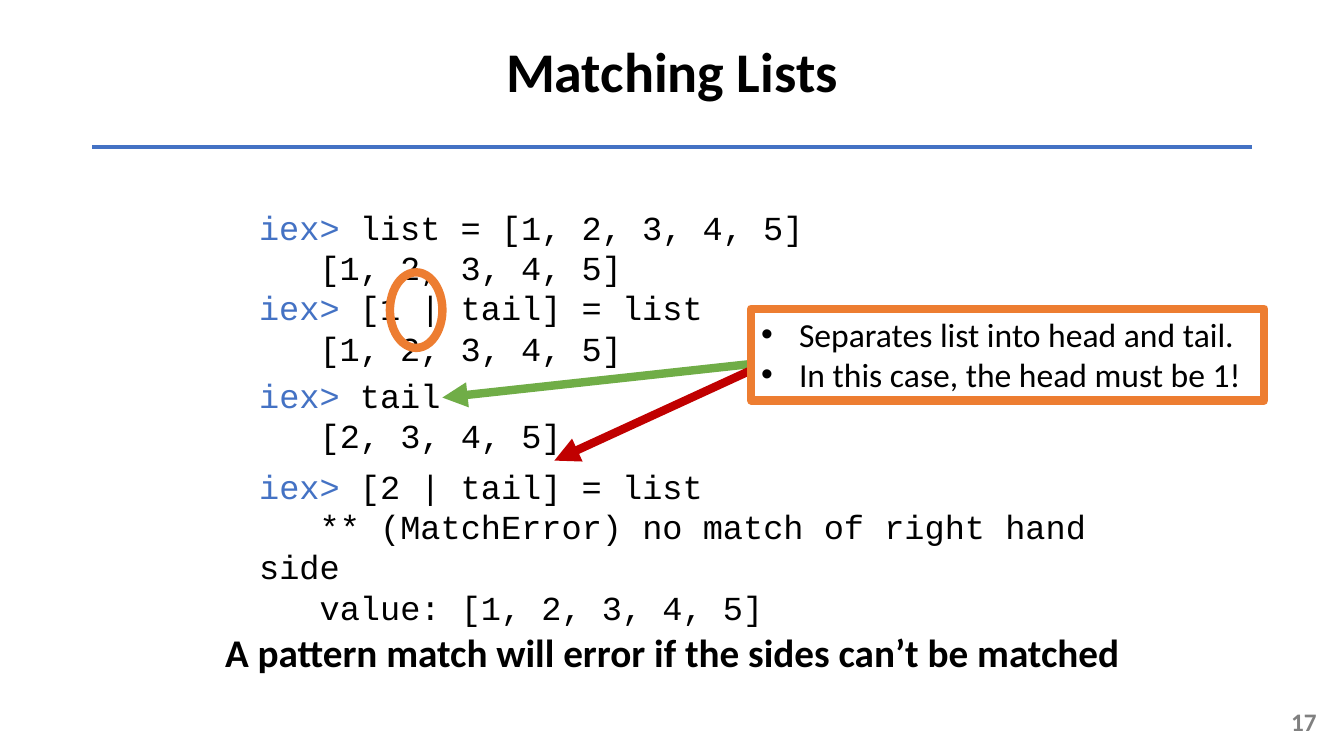
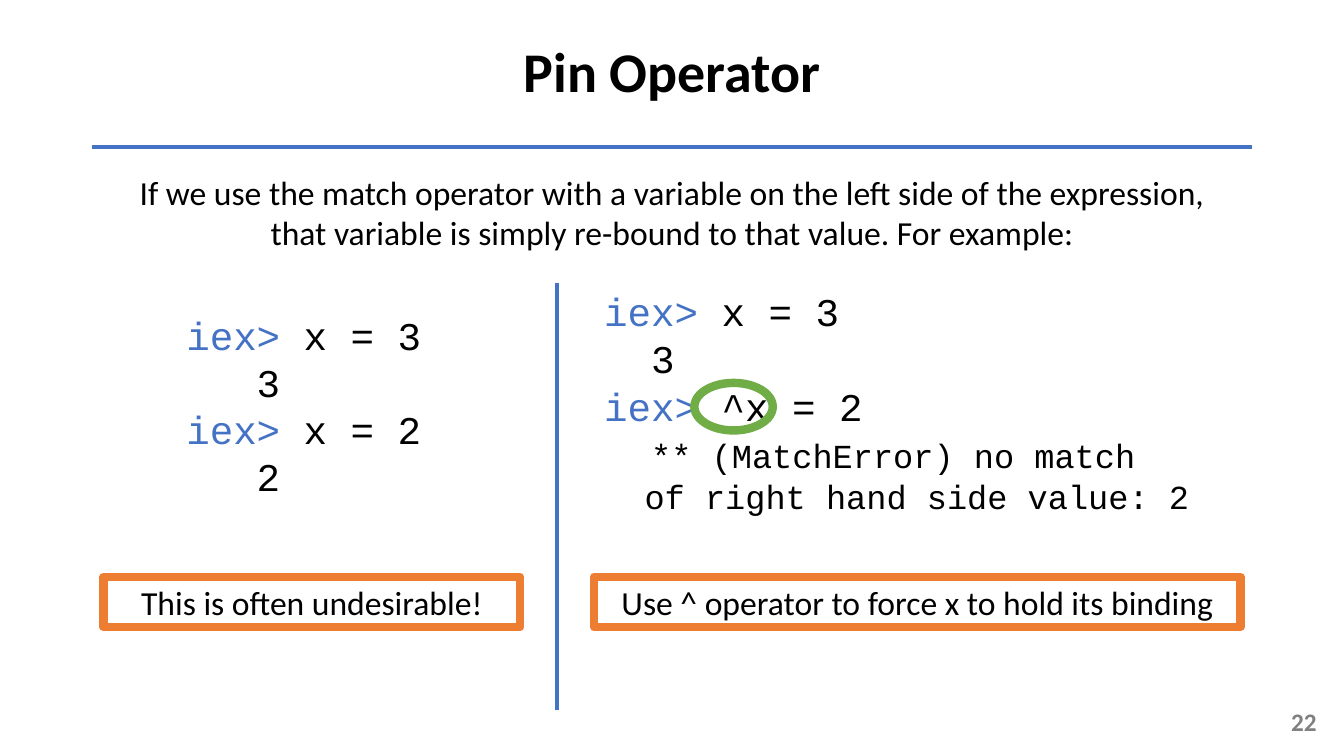
from dataclasses import dataclass
from typing import NamedTuple

from lxml.etree import SubElement
from pptx import Presentation
from pptx.dml.color import RGBColor
from pptx.enum.shapes import MSO_CONNECTOR, MSO_SHAPE
from pptx.enum.text import MSO_ANCHOR, MSO_AUTO_SIZE, PP_ALIGN
from pptx.oxml.ns import qn
from pptx.util import Pt


@dataclass(frozen=True)
class Theme:
    """Colours, fonts, type sizes and line widths of the deck."""
    ink: str = "000000"
    accent: str = "4472C4"
    orange: str = "ED7D31"
    green: str = "70AD47"
    red: str = "C00000"
    grey: str = "808080"
    text_font: str = "Calibri"
    code_font: str = "Courier New"
    title: int = 40
    large: int = 28
    body: int = 24
    number: int = 18
    thin: int = 3
    thick: int = 6


class Box(NamedTuple):
    """A rectangle in points."""
    left: float
    top: float
    width: float
    height: float

    def inside(self, left, top, width, height):
        """Return a box placed relative to this one."""
        return Box(self.left + left, self.top + top, width, height)

    def lengths(self):
        """Return the four lengths as Pt values."""
        return [Pt(value) for value in self]


THEME = Theme()
SLIDE = Box(0, 0, 960, 540)
TITLE_ONLY, TITLE_AND_BODY = 5, 1
PROMPT = "iex>"


def style_font(font, size, color=THEME.ink, name=THEME.text_font, bold=False):
    """Set the look of a run or paragraph font."""
    font.name, font.size, font.bold = name, Pt(size), bold
    font.color.rgb = RGBColor.from_string(color)


def style_line(line, color, width):
    """Set the colour and width of an outline or connector."""
    line.color.rgb = RGBColor.from_string(color)
    line.width = Pt(width)


def place(shape, box):
    """Move a placeholder to a box."""
    shape.left, shape.top, shape.width, shape.height = box.lengths()


def add_line(page, start, end, color, width, arrow=False):
    """Draw a straight line, with an arrowhead at its end if asked."""
    points = [Pt(value) for value in (*start, *end)]
    line = page.shapes.add_connector(MSO_CONNECTOR.STRAIGHT, *points)
    style_line(line.line, color, width)
    if arrow:
        SubElement(line.line._get_or_add_ln(), qn("a:tailEnd"), type="triangle")
    SubElement(line._element.spPr, qn("a:effectLst"))


def add_outline(page, preset, box, color):
    """Draw an unfilled shape with a thick outline."""
    shape = page.shapes.add_shape(preset, *box.lengths())
    shape.shadow.inherit = False
    shape.fill.background()
    style_line(shape.line, color, THEME.thick)
    return shape


def add_frame(page, box):
    """Add an empty wrapping text box and return its text frame."""
    frame = page.shapes.add_textbox(*box.lengths()).text_frame
    frame.word_wrap = True
    return frame


def add_text(page, box, text, size, align=PP_ALIGN.CENTER, **look):
    """Add a one-paragraph text box."""
    frame = add_frame(page, box)
    para = frame.paragraphs[0]
    para.text, para.alignment = text, align
    style_font(para.runs[0].font, size, **look)
    return frame


def add_code(page, box, lines, size):
    """Write (head, tail) code lines; the tail of an output line is body size."""
    frame = add_frame(page, box)
    for index, (head, tail) in enumerate(lines):
        para = frame.add_paragraph() if index else frame.paragraphs[0]
        prompt = head == PROMPT
        looks = ((head, size, THEME.accent if prompt else THEME.ink),
                 (tail, size if prompt else THEME.body, THEME.ink))
        for text, points, color in looks:
            if text:
                span = para.add_run()
                span.text = text
                style_font(span.font, points, color, THEME.code_font)


def add_note(page, box, text):
    """Add a framed one-line remark."""
    frame = add_outline(page, MSO_SHAPE.RECTANGLE, box, THEME.orange).text_frame
    frame.word_wrap = True
    para = frame.paragraphs[0]
    para.text, para.alignment = text, PP_ALIGN.CENTER
    style_font(para.runs[0].font, THEME.body)


def add_bullets(page, box, items):
    """Turn the body placeholder into a framed bullet list in front."""
    body = page.placeholders[1]
    place(body, box)
    style_line(body.line, THEME.orange, THEME.thick)
    frame = body.text_frame
    frame.text = "\n".join(items)
    frame.auto_size = MSO_AUTO_SIZE.NONE
    for para in frame.paragraphs:
        properties = para._p.get_or_add_pPr()
        properties.set("marL", str(Pt(27)))
        properties.set("indent", str(-Pt(27)))
        para.space_before = Pt(0)
        SubElement(properties, qn("a:buFont"), typeface="Arial")
        SubElement(properties, qn("a:buChar"), char="•")
        style_font(para.runs[0].font, THEME.body)
    page.shapes._spTree.append(body._element)


def add_page(deck, layout, title, number):
    """Start a slide with its title, rule and page number."""
    page = deck.slides.add_slide(deck.slide_layouts[layout])
    heading = page.shapes.title
    place(heading, SLIDE.inside(66, 1, 828, 104))
    heading.text_frame.text = title
    heading.text_frame.vertical_anchor = MSO_ANCHOR.MIDDLE
    para = heading.text_frame.paragraphs[0]
    para.alignment, para.line_spacing = PP_ALIGN.CENTER, 0.9
    style_font(para.runs[0].font, THEME.title, bold=True)
    add_line(page, (66, 105), (894, 105), THEME.accent, THEME.thin)
    footer = add_text(page, SLIDE.inside(731.5, 500.5, 216, 29), str(number),
                      THEME.number, PP_ALIGN.RIGHT, color=THEME.grey, bold=True)
    footer.vertical_anchor = MSO_ANCHOR.MIDDLE
    return page


def add_session(page, box):
    """Place the list-matching session with its marks and remarks."""
    blocks = (
        (0, 656, 153, [(PROMPT, " list = [1, 2, 3, 4, 5]"), ("   [1, 2, 3, 4, 5]", ""),
                       (PROMPT, " [1 | tail] = list"), ("   [1, 2, 3, 4, 5]", "")]),
        (120, 636, 65, [(PROMPT, " tail"), ("   [2, 3, 4, 5]", "")]),
        (185, 671, 94, [(PROMPT, " [2 | tail] = list"),
                        ("   ** (MatchError) no match of right hand side", ""),
                        ("   value: [1, 2, 3, 4, 5]", "")]),
    )
    for top, width, height, lines in blocks:
        add_code(page, box.inside(0, top, width, height), lines, THEME.body)
    add_outline(page, MSO_SHAPE.OVAL, box.inside(100.5, 50.5, 37.5, 54), THEME.orange)
    callout = box.inside(358.5, 76.5, 366.5, 65.5)
    arrows = ((39.5, (138, 140), THEME.green), (44, (218, 185), THEME.red))
    for drop, (across, down), color in arrows:
        add_line(page, (callout.left, callout.top + drop),
                 (box.left + across, box.top + down), color, THEME.thick, arrow=True)
    add_bullets(page, callout, ["Separates list into head and tail.",
                                "In this case, the head must be 1!"])


def add_column(page, box, code_box, lines, note):
    """Place a code sample with its remark along the foot of the box."""
    add_code(page, box.inside(*code_box), lines, THEME.large)
    add_note(page, box.inside(0, box.height - 36, box.width, 36), note)


def add_matching_page(deck):
    """Build the slide on matching lists."""
    page = add_page(deck, TITLE_AND_BODY, "Matching Lists", 17)
    add_session(page, SLIDE.inside(178, 144, 726, 280))
    add_text(page, SLIDE.inside(0, 445, SLIDE.width, 41),
             "A pattern match will error if the sides can’t be matched",
             THEME.large, bold=True)


def add_pin_page(deck):
    """Build the slide on the pin operator."""
    page = add_page(deck, TITLE_ONLY, "Pin Operator", 22)
    add_text(page, SLIDE.inside(74, 119, 812, 65.5),
             "If we use the match operator with a variable on the left side of the "
             "expression, that variable is simply re-bound to that value. For example:",
             THEME.body)
    left = SLIDE.inside(74, 202, 297.5, 246)
    right = SLIDE.inside(424.5, 202, 461.5, 246)
    add_column(page, left, (52, 17, 206, 143),
               [(PROMPT, " x = 3"), ("   3", ""), (PROMPT, " x = 2"), ("   2", "")],
               "This is often undesirable!")
    add_line(page, (398, 202), (398, 507.5), THEME.accent, THEME.thin)
    add_column(page, right, (0, 0, 461.5, 177),
               [(PROMPT, " x = 3"), ("  3", ""), (PROMPT, " ^x = 2"),
                ("  ", "** (MatchError) no match"),
                ("", "  of right hand side value: 2")],
               "Use ^ operator to force x to hold its binding")
    add_outline(page, MSO_SHAPE.OVAL, right.inside(71.5, 71.5, 56, 34), THEME.green)


def main():
    """Build and save the deck."""
    deck = Presentation()
    deck.slide_width, deck.slide_height = Pt(SLIDE.width), Pt(SLIDE.height)
    add_matching_page(deck)
    add_pin_page(deck)
    deck.save("out.pptx")


if __name__ == "__main__":
    main()
